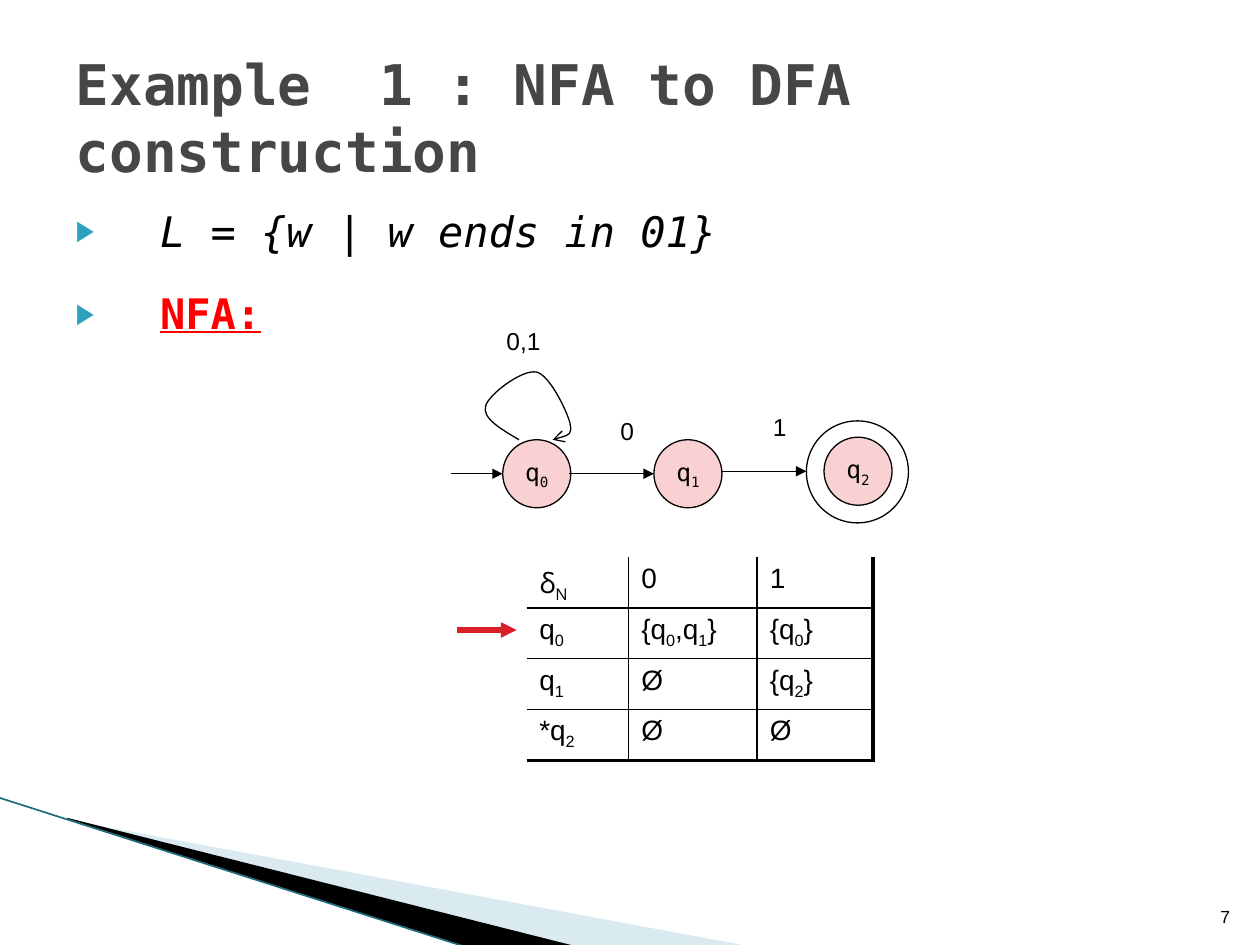
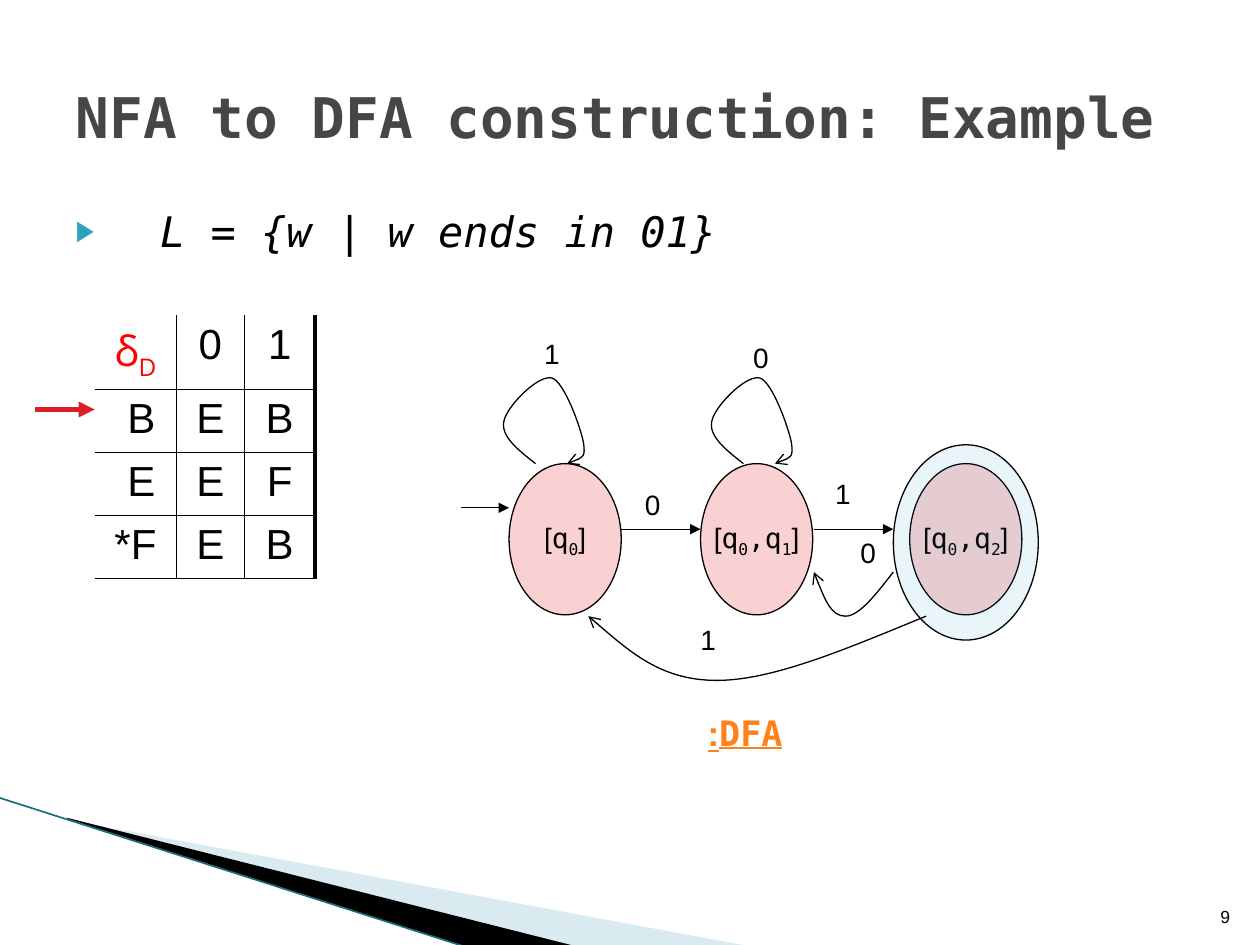
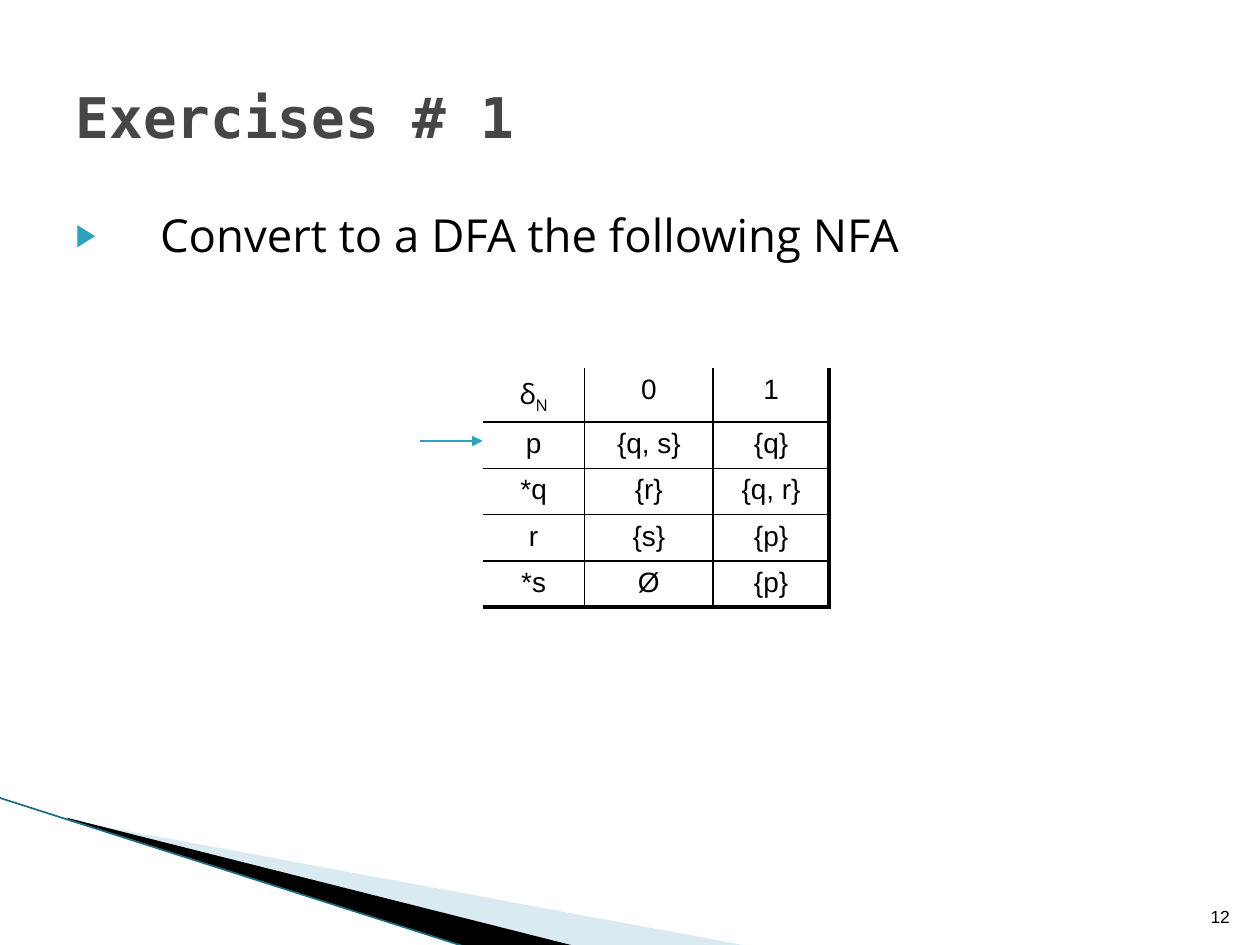
from dataclasses import dataclass
from typing import Optional

import pptx
import pptx.dml.color
import pptx.enum.shapes
import pptx.enum.text
import pptx.oxml.ns
import pptx.util
from lxml import etree

Inches, Pt, qn = pptx.util.Inches, pptx.util.Pt, pptx.oxml.ns.qn
ALIGN = pptx.enum.text.PP_ALIGN
ANCHOR = pptx.enum.text.MSO_ANCHOR
FIT = pptx.enum.text.MSO_AUTO_SIZE

# Shared look
MONO, SANS, PLAIN = "DejaVu Sans Mono", "Open Sans", "Arial"
BLACK, GREY, RED, ORANGE = "000000", "464646", "FF0000", "FF8119"
TEAL, DARK_TEAL, PALE_BLUE = "2DA2BF", "1C6B7E", "A0CBDC"
PINK, ARROW_RED = "F9D1D3", "DA1F28"
THIN, THICK = 1, 2.25

Point = tuple[float, float]

# A self-loop, relative to its starting point
LOOP = [(0, 0), (-.14, -.11), (-.28, -.22), (-.25, -.34), (-.23, -.45),
        (.02, -.71), (.13, -.68), (.23, -.65), (.36, -.28), (.38, -.17),
        (.4, -.05), (.33, -.02), (.25, 0)]


@dataclass
class Bullet:
    text: str
    size: float = 24
    font: str = MONO
    color: str = BLACK
    italic: bool = False
    heading: bool = False


@dataclass
class State:
    left: float
    top: float
    width: float
    height: float
    text: str = ""
    fill: Optional[str] = PINK
    alpha: int = 100


@dataclass
class Label:
    left: float
    top: float
    width: float
    text: str


@dataclass
class Arrow:
    start: Point
    end: Point
    color: str = BLACK
    weight: float = 0.75


@dataclass
class Diagram:
    size: float
    label_height: float
    states: list[State]
    labels: list[Label]
    arrows: list[Arrow]
    curves: list[list[Point]]


@dataclass
class Grid:
    left: float
    top: float
    columns: list[float]
    heights: list[float]
    rows: list[list[str]]
    size: float = 16
    align: ALIGN = ALIGN.CENTER
    corner: str = BLACK
    bottom: float = THICK


def rgb(color: str) -> pptx.dml.color.RGBColor:
    return pptx.dml.color.RGBColor.from_string(color)


def add_child(parent, tag: str, **attributes):
    child = etree.SubElement(parent, qn(tag))
    for name, value in attributes.items():
        child.set(name, str(value))
    return child


def set_fill(shape, color: Optional[str], alpha: int = 100) -> None:
    if color is None:
        shape.fill.background()
        return
    shape.fill.solid()
    shape.fill.fore_color.rgb = rgb(color)
    if alpha < 100:
        swatch = shape.element.spPr.find(qn("a:solidFill"))[0]
        add_child(swatch, "a:alpha", val=alpha * 1000)


def set_line(shape, color: str, weight: float, head: str = "") -> None:
    shape.line.color.rgb = rgb(color)
    shape.line.width = Pt(weight)
    if head:
        add_child(shape.element.spPr.find(qn("a:ln")), "a:tailEnd", type=head)


# Text
def set_font(para, name: str, size: float, color: str) -> None:
    para.font.name, para.font.size = name, Pt(size)
    para.font.color.rgb = rgb(color)


def write_spans(para, text: str) -> None:
    """Write text in which an underscore lowers the next character."""
    first, *rest = text.split("_")
    parts = [(first, False)]
    for piece in rest:
        parts += [(piece[0], True), (piece[1:], False)]
    for part, lowered in parts:
        if part:
            span = para.add_run()
            span.text = part
            if lowered:
                span._r.get_or_add_rPr().set("baseline", "-25000")


def write_rtl(para, text: str, size: float, align: ALIGN, color: str = BLACK) -> None:
    """Right-to-left paragraph; digits and marks take the complex-script font."""
    properties = para._p.get_or_add_pPr()
    properties.set("rtl", "1")
    para.alignment = align
    set_font(para, MONO, size, color)
    add_child(properties.find(qn("a:defRPr")), "a:cs", typeface=PLAIN)
    write_spans(para, text)


def add_label(page, label: Label, height: float, size: float, color: str = BLACK):
    box = page.shapes.add_textbox(Inches(label.left), Inches(label.top),
                                  Inches(label.width), Inches(height))
    box.text_frame.word_wrap = False
    box.text_frame.auto_size = FIT.SHAPE_TO_FIT_TEXT
    para = box.text_frame.paragraphs[0]
    write_rtl(para, label.text, size, ALIGN.RIGHT, color)
    return para


# Shapes
def add_state(page, state: State, size: float) -> None:
    oval = page.shapes.add_shape(
        pptx.enum.shapes.MSO_SHAPE.OVAL, Inches(state.left), Inches(state.top),
        Inches(state.width), Inches(state.height))
    oval.shadow.inherit = False
    set_fill(oval, state.fill, state.alpha)
    set_line(oval, BLACK, 0.75)
    if state.text:
        oval.text_frame.word_wrap = False
        oval.text_frame.vertical_anchor = ANCHOR.MIDDLE
        write_rtl(oval.text_frame.paragraphs[0], state.text, size, ALIGN.CENTER)


def add_arrow(page, arrow: Arrow, head: str = "triangle"):
    ends = [Inches(value) for value in (*arrow.start, *arrow.end)]
    line = page.shapes.add_connector(pptx.enum.shapes.MSO_CONNECTOR.STRAIGHT, *ends)
    set_line(line, arrow.color, arrow.weight, head)
    add_child(line.element.spPr, "a:effectLst")
    return line


def add_outline(page, points: list[Point], close: bool):
    corners = [(Inches(x), Inches(y)) for x, y in points]
    builder = page.shapes.build_freeform(*corners[0])
    builder.add_line_segments(corners[1:], close=close)
    shape = builder.convert_to_shape()
    shape.shadow.inherit = False
    return shape


def add_curve(page, points: list[Point]) -> None:
    """Draw a start point followed by triples of Bezier points."""
    shape = add_outline(page, points, close=False)
    set_fill(shape, None)
    set_line(shape, BLACK, 0.75, "arrow")
    outline = next(shape.element.iter(qn("a:path")))
    steps = outline.findall(qn("a:lnTo"))
    for index in range(0, len(steps), 3):
        bend = add_child(outline, "a:cubicBezTo")
        for step in steps[index:index + 3]:
            bend.append(step[0])
            outline.remove(step)


def loop_at(x: float, y: float, wide: float = 1, high: float = 1) -> list[Point]:
    return [(x + dx * wide, y + dy * high) for dx, dy in LOOP]


def add_diagram(page, diagram: Diagram) -> None:
    for state in diagram.states:
        add_state(page, state, diagram.size)
    for arrow in diagram.arrows:
        add_arrow(page, arrow)
    for curve in diagram.curves:
        add_curve(page, curve)
    for label in diagram.labels:
        add_label(page, label, diagram.label_height, diagram.size)


# Transition tables
def set_borders(cell, weights: dict[str, float]) -> None:
    properties = cell._tc.get_or_add_tcPr()
    for side in "LRTB":
        if side in weights:
            line = add_child(properties, f"a:ln{side}", w=int(Pt(weights[side])))
            add_child(add_child(line, "a:solidFill"), "a:srgbClr", val=BLACK)
        else:
            add_child(add_child(properties, f"a:ln{side}", w=0), "a:noFill")


def add_grid(page, grid: Grid) -> None:
    frame = page.shapes.add_table(
        len(grid.rows), len(grid.columns), Inches(grid.left), Inches(grid.top),
        Inches(sum(grid.columns)), Inches(sum(grid.heights)))
    table = frame.table
    table.first_row = table.horz_banding = False
    for column, width in zip(table.columns, grid.columns):
        column.width = Inches(width)
    last_row, last_column = len(grid.rows) - 1, len(grid.columns) - 1
    for r, texts in enumerate(grid.rows):
        table.rows[r].height = Inches(grid.heights[r])
        for c, text in enumerate(texts):
            cell = table.cell(r, c)
            weights = {"R": THICK if c == last_column else THIN,
                       "B": grid.bottom if r == last_row else THIN}
            if c:
                weights["L"] = THIN
            if r:
                weights["T"] = THIN
            set_borders(cell, weights)
            cell.fill.background()
            para = cell.text_frame.paragraphs[0]
            before = add_child(para._p.get_or_add_pPr(), "a:spcBef")
            add_child(before, "a:spcPct", val=20000)
            para.alignment = grid.align
            corner = r == c == 0
            set_font(para, SANS if corner else PLAIN, grid.size,
                     grid.corner if corner else BLACK)
            write_spans(para, text)


# Page frame
def place(shape, left: float, top: float, width: float, height: float) -> None:
    shape.left, shape.top = Inches(left), Inches(top)
    shape.width, shape.height = Inches(width), Inches(height)


def add_page(deck, title: str, number: int, bullets: list[Bullet]):
    page = deck.slides.add_slide(deck.slide_layouts[1])
    heading, body = page.shapes.title, page.placeholders[1]
    place(heading, 0.5, 0.3, 9, 1.25)
    heading.text_frame.auto_size = FIT.NONE
    heading.text_frame.vertical_anchor = ANCHOR.MIDDLE
    para = heading.text_frame.paragraphs[0]
    para.alignment = ALIGN.LEFT
    set_font(para, MONO, 32, GREY)
    para.font.bold = True
    write_spans(para, title)

    place(body, 0.5, 1.38, 9, 4.95)
    body.text_frame.auto_size = FIT.NONE
    for index, bullet in enumerate(bullets):
        para = body.text_frame.add_paragraph() if index else body.text_frame.paragraphs[0]
        properties = para._p.get_or_add_pPr()
        properties.set("marL", str(Inches(0.67)))
        properties.set("indent", str(-Inches(0.67)))
        add_child(add_child(properties, "a:buClr"), "a:srgbClr", val=TEAL)
        add_child(properties, "a:buSzPct", val=68000)
        add_child(properties, "a:buChar", char="▶")
        para.line_spacing, para.space_before = 1.5, Pt(4)
        set_font(para, bullet.font, bullet.size, bullet.color)
        para.font.italic = bullet.italic
        para.font.bold = para.font.underline = bullet.heading
        write_spans(para, bullet.text)

    box = page.shapes.add_textbox(Inches(9.46), Inches(7.01), Inches(0.4), Inches(0.4))
    box.text_frame.word_wrap = True
    box.text_frame.vertical_anchor = ANCHOR.BOTTOM
    write_rtl(box.text_frame.paragraphs[0], str(number), 10, ALIGN.RIGHT)
    return page


def add_master_bands(deck, page) -> None:
    """Draw the corner bands once and hand them to the slide master."""
    pale = add_outline(page, [(.55, 6.51), (5.95, 7.51), (4.56, 7.51), (.55, 6.5)], True)
    set_fill(pale, PALE_BLUE, 40)
    dark = add_outline(page, [(.53, 6.49), (4.57, 7.51), (3.72, 7.52), (.54, 6.5)], True)
    set_fill(dark, BLACK)
    for band in (pale, dark):
        band.line.fill.background()
    edge = add_arrow(page, Arrow((-.01, 6.33), (3.71, 7.52), DARK_TEAL, 0.95), head="")
    for shape in (pale, dark, edge):
        deck.slide_master.shapes.element.append(shape.element)


deck = pptx.Presentation()
deck.slide_width, deck.slide_height = Inches(10), Inches(7.5)
language = Bullet("L = {w | w ends in 01}", italic=True)

# Slide 1: the NFA and its transition table
page = add_page(deck, "Example  1 : NFA to DFA construction", 7,
                [language, Bullet("NFA:", color=RED, heading=True)])
add_master_bands(deck, page)
add_diagram(page, Diagram(
    size=14, label_height=0.54,
    states=[State(3.99, 3.49, .54, .54, "q_0"), State(5.19, 3.49, .54, .54, "q_1"),
            State(6.54, 3.47, .54, .54, "q_2"), State(6.4, 3.34, .81, .81, fill=None)],
    labels=[Label(3.63, 2.54, .76, "0,1"), Label(4.63, 3.25, .5, "0"),
            Label(5.84, 3.22, .5, "1")],
    arrows=[Arrow((3.58, 3.76), (3.99, 3.76)), Arrow((4.52, 3.76), (5.19, 3.76)),
            Arrow((5.73, 3.74), (6.4, 3.74))],
    curves=[loop_at(4.12, 3.49, 1.06, 0.79)]))
add_grid(page, Grid(4.18, 4.42, [.81, 1.02, .92], [.4] * 4, [
    ["δ_N", "0", "1"],
    ["q_0", "{q_0,q_1}", "{q_0}"],
    ["q_1", "Ø", "{q_2}"],
    ["*q_2", "Ø", "Ø"]], align=ALIGN.LEFT))
add_arrow(page, Arrow((3.63, 5), (4.1, 5), ARROW_RED, 3))

# Slide 2: the resulting DFA
page = add_page(deck, "NFA to DFA construction: Example", 9, [language])
add_grid(page, Grid(0.75, 2.5, [.65, .54, .56], [.59] + [.47] * 3, [
    ["δ_D", "0", "1"],
    [" B", "E", "B"],
    [" E", "E", "F"],
    ["*F", "E", "B"]], size=24, corner=RED, bottom=THIN))
add_diagram(page, Diagram(
    size=16, label_height=0.37,
    states=[State(4.04, 3.68, .89, 1.2, "[q_0]"), State(5.56, 3.68, .89, 1.2, "[q_0,q_1]"),
            State(7.22, 3.68, .89, 1.2, "[q_0,q_2]"),
            State(7.09, 3.53, 1.15, 1.55, fill=TEAL, alpha=10)],
    labels=[Label(x, y, .34, text) for x, y, text in [
        (4.2, 2.62, "1"), (5, 3.82, "0"), (6.51, 3.73, "1"),
        (5.86, 2.65, "0"), (6.71, 4.2, "0"), (5.44, 4.89, "1")]],
    arrows=[Arrow((3.66, 4.03), (4.04, 4.03)), Arrow((4.93, 4.2), (5.56, 4.2)),
            Arrow((6.46, 4.2), (7.09, 4.2))],
    curves=[loop_at(4.25, 3.68), loop_at(5.9, 3.68),
            [(7.09, 4.54), (6.95, 4.72), (6.82, 4.89), (6.71, 4.89),
             (6.6, 4.89), (6.53, 4.72), (6.46, 4.54)],
            [(7.35, 4.89), (6.74, 5.14), (6.14, 5.4), (5.69, 5.4),
             (5.25, 5.4), (4.96, 5.14), (4.67, 4.89)]]))
caption = add_label(page, Label(5.45, 5.6, .86, "DFA:"), 0.43, 20, ORANGE)
caption.font.bold = caption.font.underline = True
add_arrow(page, Arrow((.28, 3.25), (.75, 3.25), ARROW_RED, 3))

# Slide 3: the exercise
page = add_page(deck, "Exercises # 1", 12,
                [Bullet("Convert to a DFA the following NFA", 26, SANS)])
add_grid(page, Grid(3.83, 2.92, [.81, 1.02, .92], [.43] + [.35] * 4, [
    ["δ_N", "0", "1"],
    ["p", "{q, s}", "{q}"],
    ["*q", "{r}", "{q, r}"],
    ["r", "{s}", "{p}"],
    ["*s", "Ø", "{p}"]]))
add_arrow(page, Arrow((3.33, 3.5), (3.83, 3.5), TEAL))

deck.save("out.pptx")
